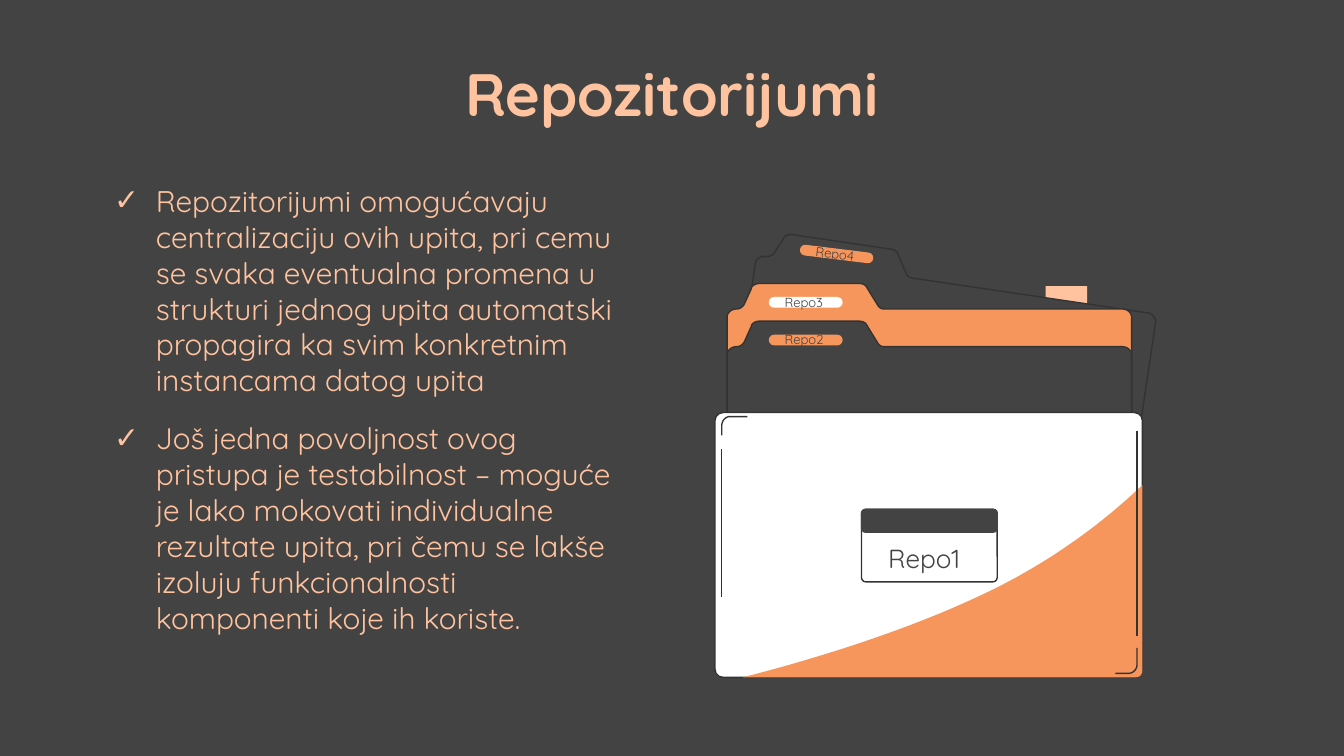
from dataclasses import dataclass

from lxml import etree
from pptx import Presentation
from pptx.dml.color import RGBColor
from pptx.enum.shapes import MSO_CONNECTOR, MSO_SHAPE
from pptx.enum.text import MSO_ANCHOR, MSO_AUTO_SIZE, PP_ALIGN
from pptx.oxml.ns import qn
from pptx.util import Inches, Pt


@dataclass(frozen=True)
class Theme:
    font: str = "Quicksand"
    dark: str = "434343"
    outline: str = "333333"
    peach: str = "FFC39F"
    orange: str = "F7965C"
    white: str = "FFFFFF"
    title_size: float = 32
    body_size: float = 16
    label_size: float = 14
    tab_size: float = 7
    line_width: float = 0.75


THEME = Theme()
POINTS = (
    "Repozitorijumi omogućavaju centralizaciju ovih upita, pri cemu se svaka "
    "eventualna promena u strukturi jednog upita automatski propagira ka svim "
    "konkretnim instancama datog upita",
    "Još jedna povoljnost ovog pristupa je testabilnost – moguće je lako "
    "mokovati individualne rezultate upita, pri čemu se lakše izoluju "
    "funkcionalnosti komponenti koje ih koriste.",
)


def color(code):
    return RGBColor.from_string(code)


def place(shape, box):
    shape.left, shape.top, shape.width, shape.height = map(Inches, box)


def add_span(para, text, size, code, bold=False):
    span = para.add_run()
    span.text = text
    span.font.name = THEME.font
    span.font.size = Pt(size)
    span.font.bold = bold
    span.font.color.rgb = color(code)


def set_frame(frame, anchor, wrap=True, inset=None):
    frame.auto_size = MSO_AUTO_SIZE.NONE
    frame.word_wrap = wrap
    frame.vertical_anchor = anchor
    if inset is not None:
        frame.margin_left = frame.margin_right = Inches(inset)
        frame.margin_top = frame.margin_bottom = Inches(inset)


def paint(shape, fill=None, line=None):
    shape.shadow.inherit = False
    if fill:
        shape.fill.solid()
        shape.fill.fore_color.rgb = color(fill)
    else:
        shape.fill.background()
    if line:
        shape.line.color.rgb = color(line)
        shape.line.width = Pt(THEME.line_width)
    else:
        shape.line.fill.background()


def add_rounded(shapes, box, radius, fill, line=None):
    shape = shapes.add_shape(MSO_SHAPE.ROUNDED_RECTANGLE, *map(Inches, box))
    shape.adjustments[0] = radius
    paint(shape, fill, line)
    return shape


def flatten(steps, pieces=24):
    """Turn (x, y) points and six-number cubic curves into plain points."""
    points = [steps[0]]
    for step in steps[1:]:
        if len(step) == 2:
            points.append(step)
            continue
        start, (x1, y1, x2, y2, x3, y3) = points[-1], step
        for piece in range(1, pieces + 1):
            t = piece / pieces
            weights = ((1 - t) ** 3, 3 * t * (1 - t) ** 2, 3 * t * t * (1 - t), t ** 3)
            points.append((
                sum(w * x for w, x in zip(weights, (start[0], x1, x2, x3))),
                sum(w * y for w, y in zip(weights, (start[1], y1, y2, y3))),
            ))
    return points


def add_outline(shapes, left, top, steps, fill=None, line=None, close=True):
    points = [(Inches(left + x), Inches(top + y)) for x, y in flatten(steps)]
    builder = shapes.build_freeform(*points[0], scale=1.0)
    builder.add_line_segments(points[1:], close=close)
    shape = builder.convert_to_shape()
    paint(shape, fill, line)
    return shape


def add_title(page, box):
    title = page.shapes.title
    place(title, box)
    set_frame(title.text_frame, MSO_ANCHOR.BOTTOM, inset=0)
    para = title.text_frame.paragraphs[0]
    para.alignment = PP_ALIGN.CENTER
    add_span(para, "Repozitorijumi", THEME.title_size, THEME.peach, bold=True)


def add_checklist(page, box):
    body = page.placeholders[1]
    place(body, box)
    frame = body.text_frame
    set_frame(frame, MSO_ANCHOR.TOP)
    for number, text in enumerate(POINTS):
        para = frame.add_paragraph() if number else frame.paragraphs[0]
        para.alignment = PP_ALIGN.LEFT
        para.space_before = Pt(12)
        para.line_spacing = 1.0
        add_span(para, text, THEME.body_size, THEME.peach)
        props = para._p.get_or_add_pPr()
        props.set("marL", str(Inches(0.31)))
        props.set("indent", str(-Inches(0.31)))
        bullet_color = etree.SubElement(props, qn("a:buClr"))
        etree.SubElement(bullet_color, qn("a:srgbClr")).set("val", THEME.peach)
        etree.SubElement(props, qn("a:buChar")).set("char", "✓")


def add_folder(shapes, left, top, fill, angle=0):
    """Tabbed folder, 3.01 by 1.93 inches, turned about its centre."""
    steps = [
        (0.24, 0), (0.98, 0), (1.01, 0, 1.03, 0.01, 1.04, 0.03),
        (1.12, 0.16), (1.13, 0.18, 1.15, 0.19, 1.17, 0.19),
        (2.94, 0.19), (2.98, 0.19, 3.01, 0.22, 3.01, 0.25),
        (3.01, 1.86), (3.01, 1.9, 2.98, 1.93, 2.94, 1.93),
        (0.07, 1.93), (0.03, 1.93, 0, 1.9, 0, 1.86),
        (0, 0.25), (0, 0.22, 0.03, 0.19, 0.07, 0.19),
        (0.1, 0.19, 0.12, 0.17, 0.13, 0.15),
        (0.18, 0.04), (0.18, 0.02, 0.21, 0, 0.24, 0),
    ]
    folder = add_outline(shapes, left, top, steps, fill, THEME.outline)
    folder.rotation = angle


def add_pill(shapes, left, top, fill, angle=0):
    pill = add_rounded(shapes, (left, top, 0.55, 0.08), 0.5, fill)
    pill.rotation = angle


def add_label(page, box, text, size, angle=0):
    label = page.shapes.add_textbox(*map(Inches, box))
    label.rotation = angle
    set_frame(label.text_frame, MSO_ANCHOR.TOP, wrap=False)
    add_span(label.text_frame.paragraphs[0], text, size, THEME.dark)


def add_edge(shapes, x, top, bottom):
    edge = shapes.add_connector(
        MSO_CONNECTOR.STRAIGHT, Inches(x), Inches(top), Inches(x), Inches(bottom))
    edge.line.color.rgb = color(THEME.outline)
    edge.line.width = Pt(THEME.line_width)
    etree.SubElement(edge._element.spPr, qn("a:effectLst"))


def add_front_cover(shapes, box):
    left, top, width, height = box
    add_rounded(shapes, box, 0.03, THEME.white, THEME.outline)
    # Orange wave along the lower right
    wave = [
        (3.18, 0.54), (2.93, 0.78, 2.53, 1.1, 2, 1.35),
        (1.37, 1.65, 0.64, 1.86, 0.21, 1.97), (3.13, 1.97),
        (3.16, 1.97, 3.18, 1.95, 3.18, 1.92),
    ]
    add_outline(shapes, left, top, wave, THEME.orange)
    # Corner brackets and edge lines
    upper = [(0.05, 0.17), (0.05, 0.1), (0.05, 0.06, 0.08, 0.03, 0.11, 0.03), (0.24, 0.03)]
    lower = [(3.14, 1.75), (3.14, 1.88), (3.14, 1.91, 3.11, 1.94, 3.08, 1.94), (2.98, 1.94)]
    for steps in (upper, lower):
        add_outline(shapes, left, top, steps, line=THEME.outline, close=False)
    add_edge(shapes, left + 0.05, top + 0.27, top + 1.37)
    add_edge(shapes, left + 3.14, top + 0.14, top + 1.66)


def add_name_card(shapes, box):
    left, top, width, height = box
    add_rounded(shapes, box, 0.06, THEME.white, THEME.outline)
    add_rounded(shapes, (left, top, width, 0.17), 0.17, THEME.dark, THEME.dark)


def add_folder_stack(page, box):
    left, top, width, height = box
    shapes = page.shapes.add_group_shape().shapes
    # Loose sheet behind the folders
    sheet = shapes.add_shape(
        MSO_SHAPE.RECTANGLE, *map(Inches, (left + 2.46, top + 0.4, 0.31, 1.5)))
    paint(sheet, THEME.peach)
    # Folders from back to front
    add_folder(shapes, left + 0.18, top + 0.19, THEME.dark, 8.4)
    add_pill(shapes, left + 0.63, top + 0.12, THEME.orange, 7)
    add_folder(shapes, left + 0.09, top + 0.38, THEME.orange)
    add_pill(shapes, left + 0.4, top + 0.48, THEME.white)
    add_folder(shapes, left + 0.09, top + 0.66, THEME.dark)
    add_pill(shapes, left + 0.4, top + 0.76, THEME.orange)
    add_front_cover(shapes, (left, top + 1.34, width, height - 1.34))
    add_name_card(shapes, (left + 1.09, top + 2.06, 1.01, 0.54))
    # Folder names
    add_label(page, (left + 1.19, top + 2.26, 0.82, 0.34), "Repo1", THEME.label_size)
    for text, x, y, angle in (
        ("Repo2", 0.42, 0.69, 0), ("Repo3", 0.42, 0.41, 0), ("Repo4", 0.65, 0.05, 7),
    ):
        add_label(page, (left + x, top + y, 0.51, 0.22), text, THEME.tab_size, angle)


def main():
    deck = Presentation()
    # Widescreen page, 16 to 9
    deck.slide_width, deck.slide_height = Inches(10), Inches(10 * 9 / 16)
    page = deck.slides.add_slide(deck.slide_layouts[1])
    page.background.fill.solid()
    page.background.fill.fore_color.rgb = color(THEME.dark)
    add_title(page, (0.77, 0.38, 8.46, 0.58))
    add_checklist(page, (0.75, 1.31, 3.92, 4.31))
    add_folder_stack(page, (5.32, 1.73, 3.18, 3.31))
    deck.save("out.pptx")


if __name__ == "__main__":
    main()
